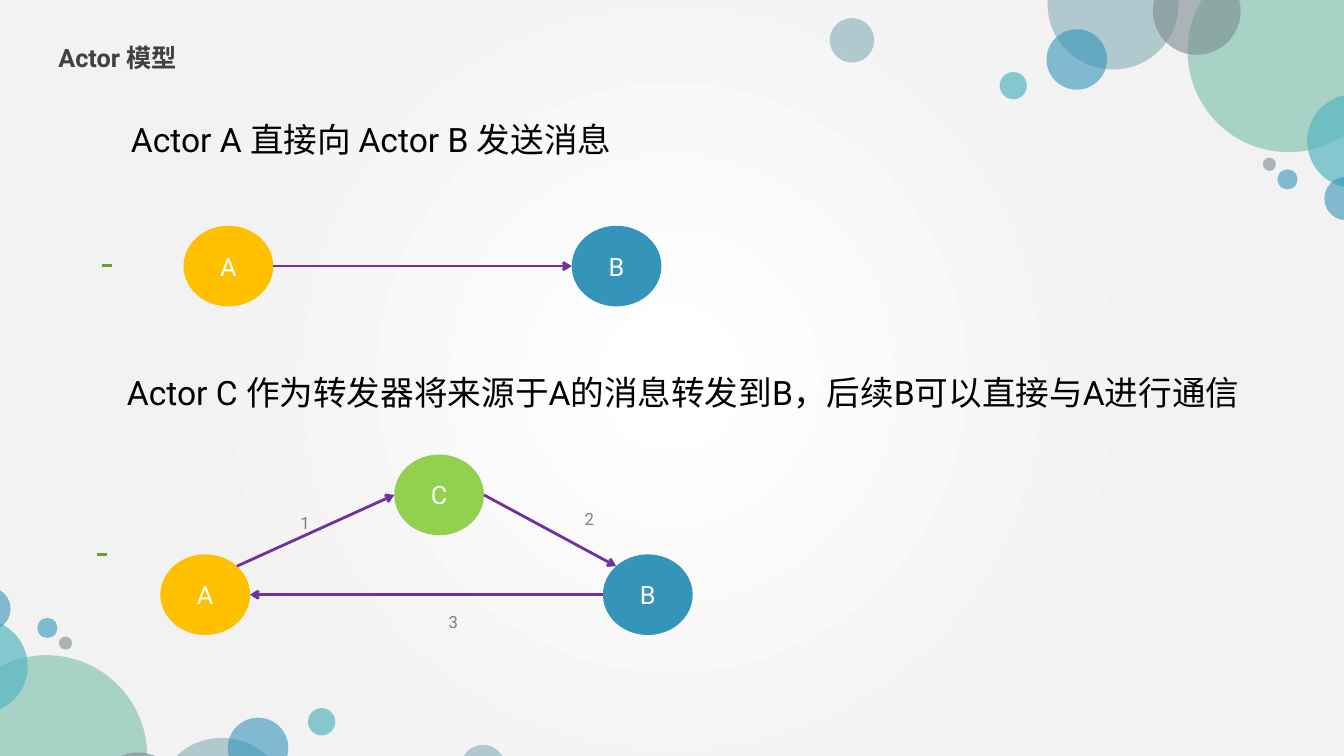
from dataclasses import dataclass
from copy import deepcopy
from math import cos, sin, radians
from lxml.etree import SubElement as sub
from pptx import Presentation
from pptx.dml.color import RGBColor as RGB
from pptx.enum.shapes import MSO_CONNECTOR as LINE, MSO_SHAPE as SHAPE
from pptx.enum.text import MSO_ANCHOR as ANCHOR, PP_ALIGN as ALIGN
from pptx.oxml.ns import qn
from pptx.util import Inches, Pt


@dataclass(frozen=True)
class Theme:
    """Colours, font and type sizes of the deck."""
    font: str = "Roboto"
    title: int = 18
    head: int = 24
    node: int = 18
    note: int = 12
    ink: str = "000000"
    dark: str = "404040"
    grey: str = "808080"
    white: str = "FFFFFF"
    edge: str = "F2F2F2"
    arrow: str = "7030A0"
    dash: str = "6B9F25"
    gold: str = "FFC000"
    blue: str = "3494BA"
    lime: str = "92D050"
    mist: str = "84ACB6"
    mint: str = "75BDA7"
    slate: str = "7A8C8E"
    teal: str = "58B6C0"


T = Theme()
WIDE, HIGH = 13.33, 7.5
NODE = (0.89, 0.8)
TURN = (13.24, 8.01)
BUBBLES = [
    (11.04, 0.04, 1.3, T.mist, 60), (12.78, 0.51, 2, T.mint, 60),
    (11.87, 0.11, 0.87, T.slate, 60), (10.68, 0.59, 0.6, T.blue, 60),
    (13.43, 1.4, 0.93, T.teal, 70), (10.05, 0.85, 0.27, T.teal, 70),
    (13.35, 1.97, 0.43, T.blue, 60), (12.77, 1.78, 0.2, T.blue, 60),
    (12.59, 1.63, 0.13, T.slate, 60), (8.45, 0.4, 0.44, T.mist, 60),
]


def paint(slide):
    """Fill the background with a round gradient."""
    fill = slide.background.fill
    fill.gradient()
    for stop, color, pos in zip(fill.gradient_stops, (T.white, T.edge), (0, 0.67)):
        stop.color.rgb = RGB.from_string(color)
        stop.position = pos
    grad = slide.element.find(".//" + qn("a:gradFill"))
    stops = grad.find(qn("a:gsLst"))
    last = deepcopy(stops[-1])
    last.set("pos", "100000")
    stops.append(last)
    grad.remove(grad.find(qn("a:lin")))
    ring = sub(grad, qn("a:path"), path="circle")
    sub(ring, qn("a:fillToRect"), {side: "50000" for side in "ltrb"})


def oval(slide, box, color):
    """Draw a plain ellipse in the box."""
    shape = slide.shapes.add_shape(SHAPE.OVAL, *map(Inches, box))
    shape.shadow.inherit = False
    shape.fill.solid()
    shape.fill.fore_color.rgb = RGB.from_string(color)
    shape.line.fill.background()
    return shape


def corner(slide, turned):
    """Draw the bubbles of one corner, given a half turn if asked."""
    for x, y, size, color, alpha in BUBBLES:
        if turned:
            x, y = TURN[0] - x, TURN[1] - y
        shape = oval(slide, (x - size / 2, y - size / 2, size, size), color)
        tint = shape.fill._xPr.find(".//" + qn("a:srgbClr"))
        sub(tint, qn("a:alpha"), val=str(alpha * 1000))


def style(para, size, color, bold=False):
    """Set the font of a paragraph."""
    font = para.font
    font.name, font.size, font.bold = T.font, Pt(size), bold
    font.color.rgb = RGB.from_string(color)


def write(slide, box, text, size, color, gap, bold=False, wrap=True):
    """Place one paragraph of text in the box."""
    frame = slide.shapes.add_textbox(*map(Inches, box)).text_frame
    frame.word_wrap = wrap
    para = frame.paragraphs[0]
    para.text = text
    para.line_spacing = gap
    style(para, size, color, bold)
    return para


def link(slide, start, end, color, head=True):
    """Draw a line, with an arrowhead at its end if asked."""
    line = slide.shapes.add_connector(LINE.STRAIGHT, *map(Inches, (*start, *end)))
    line.line.color.rgb = RGB.from_string(color)
    line.line.width = Pt(2)
    if head:
        sub(line.line._get_or_add_ln(), qn("a:tailEnd"), type="arrow")
    sub(line.element.spPr, qn("a:effectLst"))


def rim(spot, angle):
    """Return the point of a node's edge at the angle."""
    turn = radians(angle)
    return (spot[0] + NODE[0] / 2 * (1 + cos(turn)),
            spot[1] + NODE[1] / 2 * (1 - sin(turn)))


def flow(slide, box, text, dash, nodes, links, notes=()):
    """Draw a heading with its nodes, arrows and step numbers."""
    left, top, wide, high = box
    para = write(slide, (left, top + 0.03, wide, high), text, T.head, T.ink, 0.9)
    props = para._p.get_or_add_pPr()
    props.set("marL", str(Inches(0.25)))
    props.set("indent", str(Inches(0.04)))
    x, y = left + dash[0], top + dash[1]
    link(slide, (x, y), (x + 0.1, y), T.dash, head=False)
    spots = {}
    for name, x, y, color in nodes:
        spots[name] = left + x, top + y
        frame = oval(slide, (*spots[name], *NODE), color).text_frame
        frame.vertical_anchor = ANCHOR.MIDDLE
        para = frame.paragraphs[0]
        para.text, para.alignment = name, ALIGN.CENTER
        style(para, T.node, T.white)
    for start, out, end, into in links:
        link(slide, rim(spots[start], out), rim(spots[end], into), T.arrow)
    for step, (x, y) in enumerate(notes, 1):
        write(slide, (left + x, top + y, 0.28, 0.34), str(step),
              T.note, T.grey, 1.3, wrap=False)


def main():
    """Build the slide and save it."""
    deck = Presentation()
    deck.slide_width, deck.slide_height = Inches(WIDE), Inches(HIGH)
    slide = deck.slides.add_slide(deck.slide_layouts[6])
    paint(slide)
    for turned in (False, True):
        corner(slide, turned)
    write(slide, (0.48, 0.28, 3.72, 0.44), "Actor 模型", T.title, T.dark, 1.3, bold=True)
    flow(slide, (0.91, 1.15, 6.14, 0.6), "Actor A 直接向 Actor B 发送消息", (0.1, 1.48),
         [("A", 0.91, 1.09, T.gold), ("B", 4.76, 1.09, T.blue)],
         [("A", 0, "B", 180)])
    flow(slide, (0.87, 3.66, 11.74, 0.88),
         "Actor C 作为转发器将来源于A的消息转发到B，后续B可以直接与A进行通信", (0.09, 1.84),
         [("A", 0.72, 1.84, T.gold), ("B", 5.11, 1.84, T.blue), ("C", 3.04, 0.85, T.lime)],
         [("A", 45, "C", 180), ("C", 0, "B", 135), ("B", 180, "A", 0)],
         [(2.01, 1.32), (4.83, 1.28), (3.48, 2.3)])
    deck.save("out.pptx")


if __name__ == "__main__":
    main()
